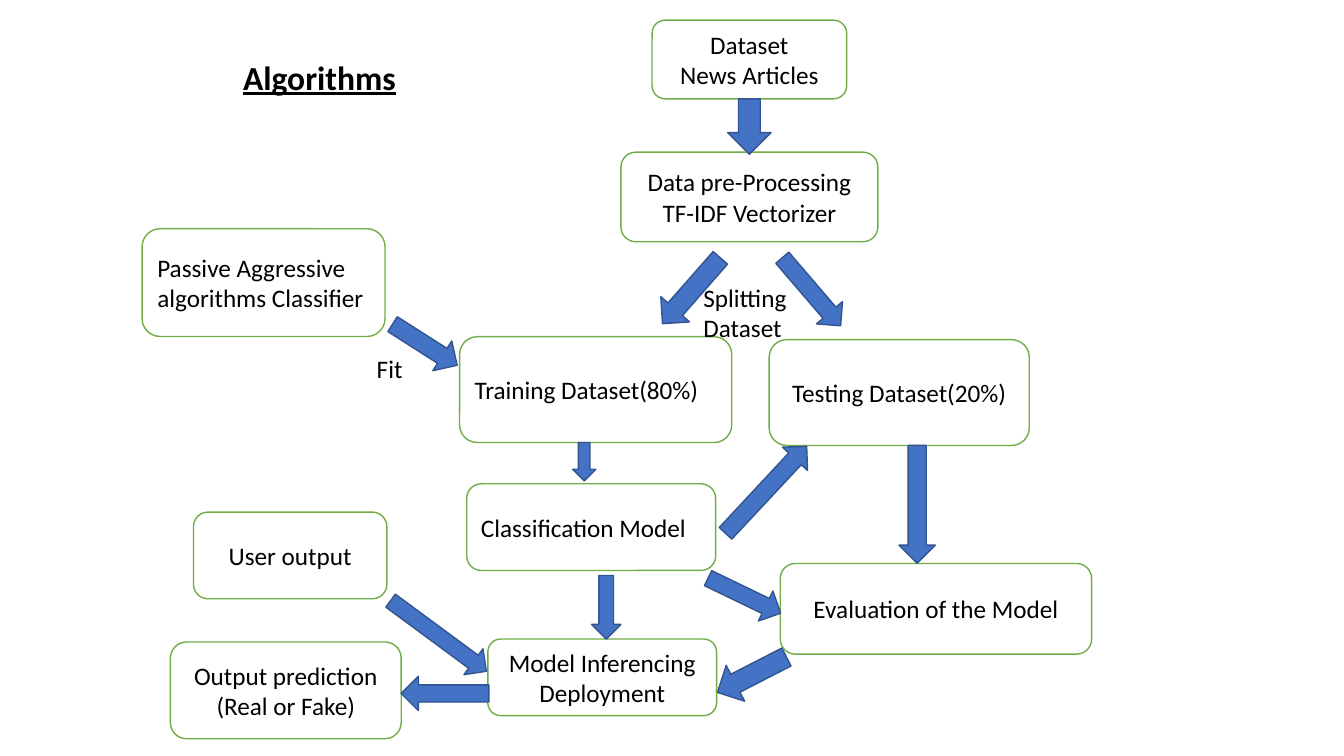
from pptx import Presentation
from pptx.dml.color import RGBColor
from pptx.enum.shapes import MSO_SHAPE
from pptx.enum.text import MSO_ANCHOR, PP_ALIGN
from pptx.util import Pt

WHITE = RGBColor(0xFF, 0xFF, 0xFF)
BLACK = RGBColor(0, 0, 0)
GREEN = RGBColor(0x70, 0xAD, 0x47)
BLUE = RGBColor(0x44, 0x72, 0xC4)
NAVY = RGBColor(0x32, 0x54, 0x91)
LEFT, CENTER = PP_ALIGN.LEFT, PP_ALIGN.CENTER
DOWN, UP = MSO_SHAPE.DOWN_ARROW, MSO_SHAPE.UP_ARROW
ARROW_LEFT, ARROW_RIGHT = MSO_SHAPE.LEFT_ARROW, MSO_SHAPE.RIGHT_ARROW

# Every place is (left, top, width, height) in points.
TITLE = ("Algorithms", (108, 36.7, 240.5, 36))
STEPS = [
    (["Dataset", "News Articles"], CENTER, (465.8, 14.4, 139, 56.2)),
    (["Data pre-Processing", "TF-IDF Vectorizer"], CENTER, (443.5, 108.7, 183.6, 64)),
    (["Training Dataset(80%)"], LEFT, (328.3, 240.5, 194.4, 75.6)),
    (["Testing Dataset(20%)"], CENTER, (549.4, 242.6, 185.8, 75.6)),
    (["Passive Aggressive algorithms Classifier"], LEFT, (101.5, 163.4, 173.5, 77)),
    (["Classification Model"], LEFT, (333.4, 345.6, 177.8, 61.9)),
    (["User output"], CENTER, (138.2, 365.8, 138.2, 61.9)),
    (["Output prediction", "(Real or Fake)"], CENTER, (121.7, 458.6, 164.9, 69.1)),
    (["Evaluation of the Model"], CENTER, (557.3, 402.5, 222.5, 64.8)),
    (["Model Inferencing Deployment"], CENTER, (348.5, 456.5, 163.4, 54.7)),
]
LABELS = [
    ("Splitting Dataset", (495.4, 198, 108, 51)),
    ("Fit", (262, 249.1, 46, 28.8)),
]
ARROWS = [  # shape, rotation in degrees, place before rotation
    (DOWN, 0, (519.8, 70.6, 31, 39.6)),       # dataset to pre-processing
    (DOWN, 319.4, (567.4, 176.4, 24.5, 64)),  # pre-processing to testing
    (DOWN, 41.3, (480.2, 176.4, 27.4, 62.6)), # pre-processing to training
    (DOWN, 302.5, (290.9, 218.9, 25.2, 54.7)),  # classifier to training
    (DOWN, 0, (409, 316.1, 16.6, 27.4)),      # training to model
    (DOWN, 0, (642.2, 318.2, 25.9, 84.2)),    # testing to evaluation
    (DOWN, 295.8, (519.8, 396.7, 23.8, 57.6)),  # model to evaluation
    (DOWN, 0, (422.6, 411.1, 20.9, 45.4)),    # model to deployment
    (DOWN, 62.8, (522.7, 454.3, 28.8, 55.4)), # evaluation to deployment
    (ARROW_RIGHT, 36.4, (270.7, 442.8, 85, 23)),  # user output to deployment
    (ARROW_LEFT, 0, (286.6, 483.1, 62.6, 24.5)),  # deployment to prediction
    (UP, 43, (535, 307.4, 24.5, 85)),         # model to testing
]


def write(shape, lines, align, anchor, size=18):
    """Fill a shape with one paragraph per line."""
    frame = shape.text_frame
    frame.word_wrap = True
    frame.vertical_anchor = anchor
    frame.text = "\n".join(lines)
    for para in frame.paragraphs:
        para.alignment = align
        para.line_spacing = 1.0
        para.font.name = "Calibri"
        para.font.size = Pt(size)
        para.font.color.rgb = BLACK


def add_block(page, kind, place, fill, line):
    """Add a flat preset shape with a thin outline."""
    block = page.shapes.add_shape(kind, *map(Pt, place))
    block.shadow.inherit = False
    block.fill.solid()
    block.fill.fore_color.rgb = fill
    block.line.color.rgb = line
    block.line.width = Pt(1)
    return block


def add_title(page, text, place):
    """Place and format the title placeholder."""
    title = page.shapes.title
    title.left, title.top, title.width, title.height = map(Pt, place)
    write(title, [text], CENTER, MSO_ANCHOR.TOP, 24)
    font = title.text_frame.paragraphs[0].font
    font.bold = font.underline = True


deck = Presentation()
deck.slide_width, deck.slide_height = Pt(960), Pt(540)
page = deck.slides.add_slide(deck.slide_layouts[5])
add_title(page, *TITLE)

for lines, align, place in STEPS:
    step = add_block(page, MSO_SHAPE.ROUNDED_RECTANGLE, place, WHITE, GREEN)
    write(step, lines, align, MSO_ANCHOR.MIDDLE)

for text, place in LABELS:
    box = page.shapes.add_textbox(*map(Pt, place))
    write(box, [text], LEFT, MSO_ANCHOR.TOP)

for kind, angle, place in ARROWS:
    add_block(page, kind, place, BLUE, NAVY).rotation = angle

deck.save("out.pptx")
